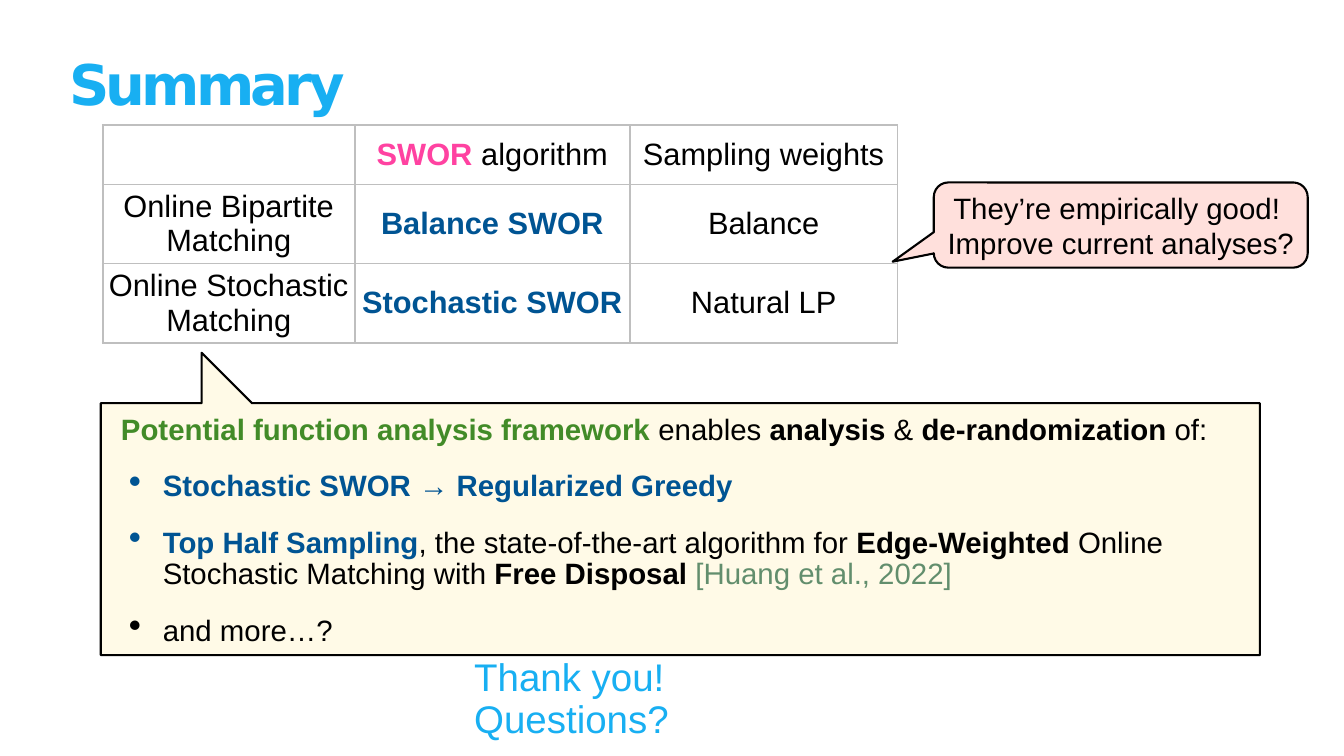
import math

from lxml import etree
from pptx import Presentation
from pptx.dml.color import RGBColor
from pptx.enum import shapes, text
from pptx.oxml import ns
from pptx.util import Inches, Pt

SKY, BLUE, GREEN, SAGE = "18AFF2", "005493", "428B28", "628E6D"
PINK, BLACK, GREY = "FF42A1", "000000", "BFBFBF"
CREAM, ROSE = "FFFAE7", "FFE0DC"
CENTER, LEFT = text.PP_ALIGN.CENTER, text.PP_ALIGN.LEFT
MIDDLE, TOP = text.MSO_ANCHOR.MIDDLE, text.MSO_ANCHOR.TOP
FIT, FIXED = text.MSO_AUTO_SIZE.SHAPE_TO_FIT_TEXT, text.MSO_AUTO_SIZE.NONE


def color(value):
    return RGBColor.from_string(value)


def inches(*values):
    return [Inches(value) for value in values]


def apply(target, formats):
    for name, value in formats.items():
        setattr(target, name, value)


def add_xml(parent, tag, **attributes):
    return etree.SubElement(parent, ns.qn(tag), attributes)


def write(para, spans, size, font="Arial", **formats):
    """Fill a paragraph with (wording, colour, bold) spans; newlines become line breaks."""
    apply(para, formats)
    for wording, shade, bold in spans:
        for number, line in enumerate(wording.split("\n")):
            if number:
                para.add_line_break()
            span = para.add_run()
            span.text = line
            apply(span.font, {"name": font, "size": Pt(size), "bold": bold})
            span.font.color.rgb = color(shade)


def set_frame(frame, anchor=MIDDLE, wrap=True, fit=FIT):
    apply(frame, {"word_wrap": wrap, "vertical_anchor": anchor, "auto_size": fit})
    apply(frame, {f"margin_{side}": Inches(0.06) for side in ("left", "right", "top", "bottom")})
    return frame


def style_bubble(shape, fill):
    shape.shadow.inherit = False
    shape.fill.solid()
    shape.fill.fore_color.rgb = color(fill)
    shape.line.color.rgb = color(BLACK)
    shape.line.width = Pt(3)


def set_indent(para, left, first, bullet=False):
    properties = para._p.get_or_add_pPr()
    properties.set("marL", str(Inches(left)))
    properties.set("indent", str(Inches(first)))
    if bullet:
        add_xml(properties, "a:buSzPct", val="123000")
        add_xml(properties, "a:buChar", char="•")


def add_title(page, box):
    title = page.shapes.title
    apply(title, dict(zip(("left", "top", "width", "height"), inches(*box))))
    frame = set_frame(title.text_frame, TOP, fit=FIXED)
    write(frame.paragraphs[0], [("Summary", SKY, True)], 80, "DejaVu Sans",
          alignment=LEFT, line_spacing=0.8)
    frame.paragraphs[0].runs[0].font._element.set("spc", "-560")


def draw_borders(cell):
    properties = cell._tc.get_or_add_tcPr()
    for side in ("L", "R", "T", "B"):
        line = add_xml(properties, f"a:ln{side}", w=str(Pt(3)))
        add_xml(add_xml(line, "a:solidFill"), "a:srgbClr", val=GREY)


def add_algorithm_table(page, left, top):
    columns, heights = (5, 5.46, 5.31), (1.18, 1.57, 1.57)
    rows = [
        [[], [("SWOR ", PINK, True), ("algorithm", BLACK, False)],
         [("Sampling weights", BLACK, False)]],
        [[("Online Bipartite Matching", BLACK, False)], [("Balance SWOR", BLUE, True)],
         [("Balance", BLACK, False)]],
        [[("Online Stochastic Matching", BLACK, False)], [("Stochastic SWOR", BLUE, True)],
         [("Natural LP", BLACK, False)]],
    ]
    table = page.shapes.add_table(
        len(rows), len(columns), *inches(left, top, sum(columns), sum(heights))).table
    apply(table, {"first_row": False, "horz_banding": False})
    for column, width in zip(table.columns, columns):
        column.width = Inches(width)
    for row, height, contents in zip(table.rows, heights, rows):
        row.height = Inches(height)
        for cell, spans in zip(row.cells, contents):
            side, edge = inches(0.06, 0.05)
            apply(cell, {"vertical_anchor": MIDDLE, "margin_left": side, "margin_right": side,
                         "margin_top": edge, "margin_bottom": edge})
            draw_borders(cell)
            cell.fill.background()
            write(cell.text_frame.paragraphs[0], spans, 44, alignment=CENTER)


def add_bubble(page, box, radius=0.5, tail_x=2.63, tail_width=0.33, tail_height=0.8):
    """Rounded box with a thin tail rising from its top edge."""
    left, top, width, height = box
    tip, half = left + tail_x, tail_width / 2
    points = [(tip, top - tail_height), (tip + half, top)]
    corners = [(left + width - radius, top + radius, -90),
               (left + width - radius, top + height - radius, 0),
               (left + radius, top + height - radius, 90),
               (left + radius, top + radius, 180)]
    for x, y, start in corners:
        for step in range(0, 91, 6):
            angle = math.radians(start + step)
            points.append((x + radius * math.cos(angle), y + radius * math.sin(angle)))
    points.append((tip - half, top))
    builder = page.shapes.build_freeform(*points[0], scale=Inches(1))
    builder.add_line_segments(points[1:], close=True)
    style_bubble(builder.convert_to_shape(), CREAM)


def add_framework(page, box):
    left, top, width, height = box
    add_bubble(page, box)
    area = page.shapes.add_textbox(*inches(left + 0.12, top + 0.47, width - 0.45, height - 0.72))
    frame = set_frame(area.text_frame)
    lines = [
        [("Potential function analysis framework ", GREEN, True), ("enables ", BLACK, False),
         ("analysis", BLACK, True), (" & ", BLACK, False),
         ("de-randomization", BLACK, True), (" of:", BLACK, False)],
        [("Stochastic SWOR → Regularized Greedy", BLUE, True)],
        [("Top Half Sampling", BLUE, True),
         (", the state-of-the-art algorithm for ", BLACK, False),
         ("Edge-Weighted", BLACK, True), (" Online Stochastic Matching with", BLACK, False),
         (" Free Disposal ", BLACK, True), ("[Huang et al., 2022]", SAGE, False)],
        [("and more…?", BLACK, False)],
    ]
    for number, spans in enumerate(lines):
        para = frame.add_paragraph() if number else frame.paragraphs[0]
        write(para, spans, 42, level=1, line_spacing=0.9, space_before=Pt(35))
        if number:
            set_indent(para, 1.33, -0.67, bullet=True)
        else:
            set_indent(para, 0, 0.5)


def add_thanks(page, box):
    frame = set_frame(page.shapes.add_textbox(*inches(*box)).text_frame, wrap=False)
    write(frame.paragraphs[0], [("Thank you! Questions?", SKY, False)], 55,
          line_spacing=0.9, space_before=Pt(45))


def add_remark(page, box):
    callout = page.shapes.add_shape(
        shapes.MSO_SHAPE.ROUNDED_RECTANGULAR_CALLOUT, *inches(*box))
    for number, value in enumerate((-0.61, 0.43, 0.17)):
        callout.adjustments[number] = value
    style_bubble(callout, ROSE)
    frame = set_frame(callout.text_frame)
    write(frame.paragraphs[0],
          [("They’re empirically good! \nImprove current analyses?", BLACK, False)], 42,
          alignment=CENTER)


def main():
    deck = Presentation()
    deck.slide_width, deck.slide_height = inches(26.67, 15)
    page = deck.slides.add_slide(deck.slide_layouts[5])
    add_framework(page, (1.72, 7.69, 23.03, 5.49))
    add_title(page, (1.32, 1.18, 24.03, 1.57))
    add_thanks(page, (9.35, 13.38, 7.96, 1.01))
    add_algorithm_table(page, 2.04, 2.48)
    add_remark(page, (18.53, 3.62, 7.42, 1.69))
    deck.save("out.pptx")


if __name__ == "__main__":
    main()
